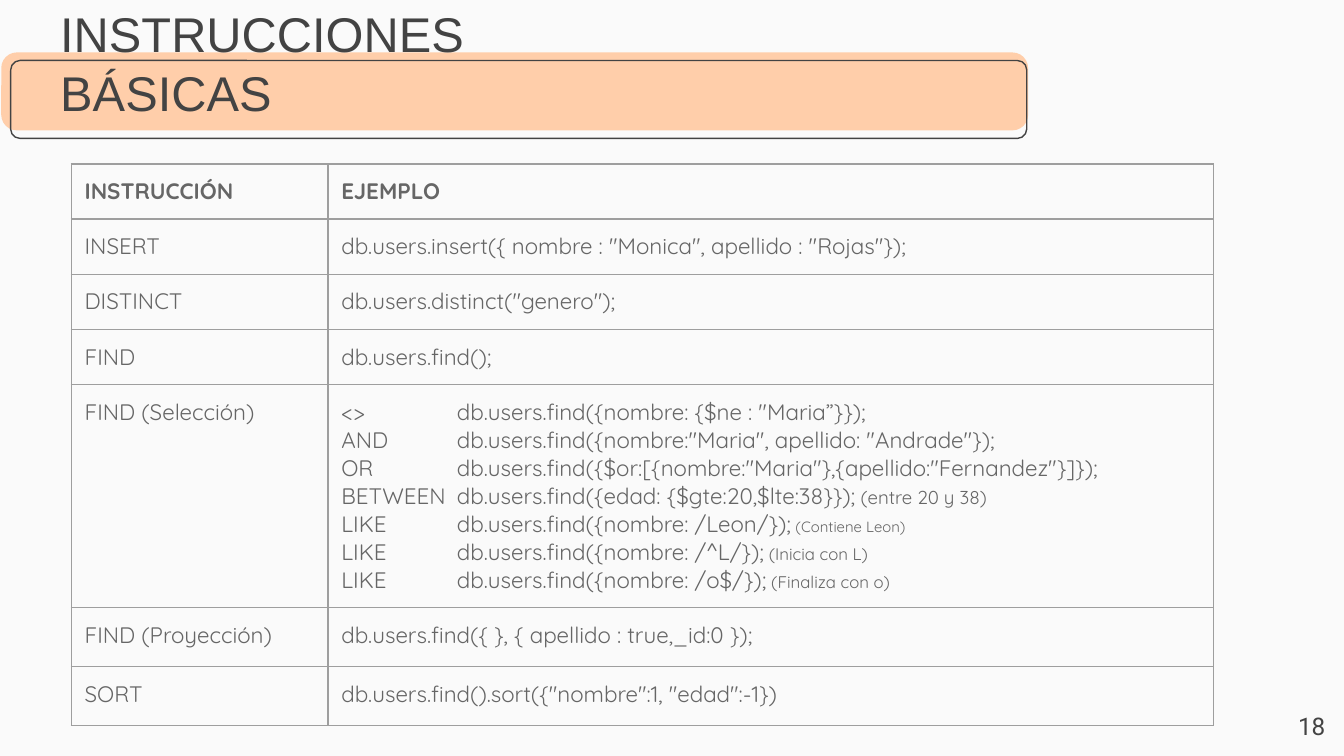
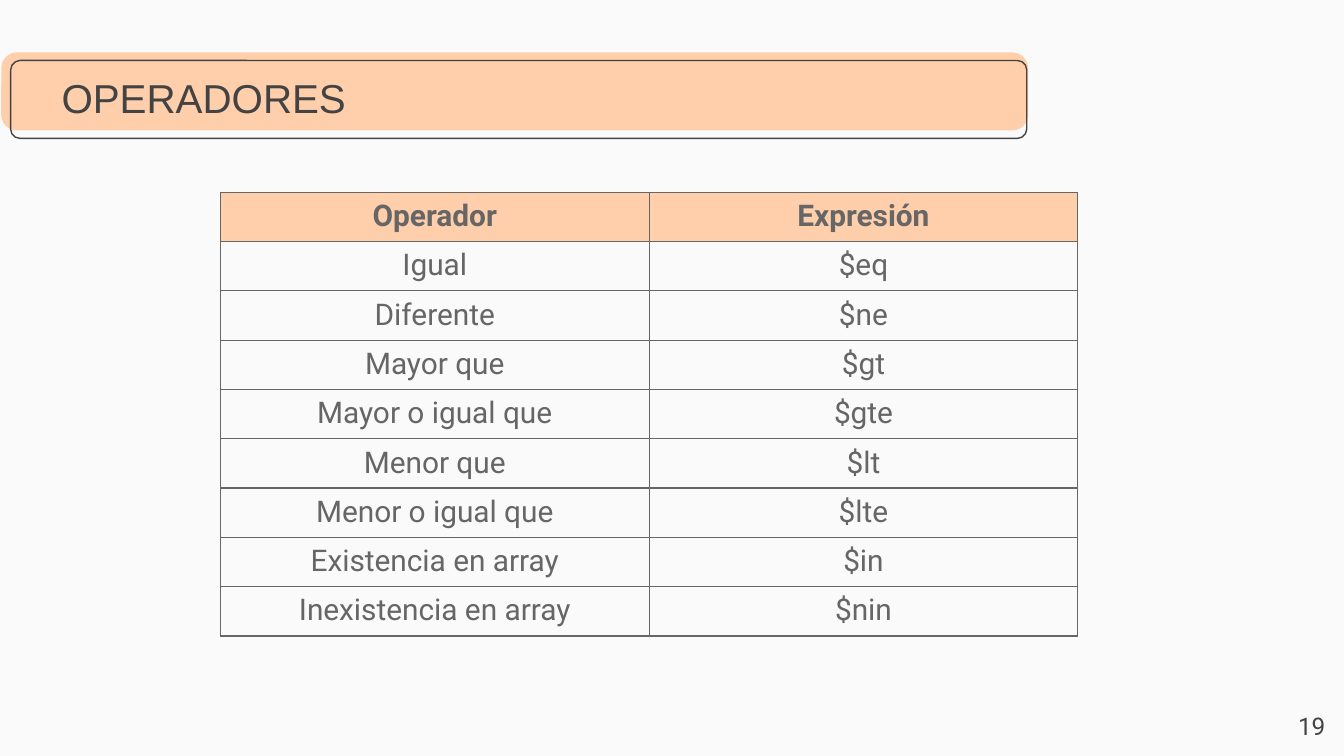
"""Builds two slides on database query instructions and operators."""
from lxml.etree import SubElement
from pptx import Presentation
from pptx.dml.color import RGBColor
from pptx.enum.shapes import MSO_SHAPE
from pptx.enum.text import MSO_ANCHOR, PP_ALIGN
from pptx.oxml.ns import qn
from pptx.util import Inches, Pt

PAPER = RGBColor(0xFA, 0xFA, 0xFA)
PEACH = RGBColor(0xFF, 0xCE, 0xAA)
INK = RGBColor(0x43, 0x43, 0x43)
GREY = RGBColor(0x66, 0x66, 0x66)
RULE = RGBColor(0x9E, 0x9E, 0x9E)

SELECTIONS = [
    ("<>", 'db.users.find({nombre: {$ne : "Maria”}});', "", 12),
    ("AND", 'db.users.find({nombre:"Maria", apellido: "Andrade"});', "", 12),
    ("OR", 'db.users.find({$or:[{nombre:"Maria"},{apellido:"Fernandez"}]});', "", 12),
    ("BETWEEN", "db.users.find({edad: {$gte:20,$lte:38}});", "(entre 20 y 38)", 10),
    ("LIKE", "db.users.find({nombre: /Leon/});", "(Contiene Leon)", 8),
    ("LIKE", "db.users.find({nombre: /^L/});", "(Inicia con L)", 9),
    ("LIKE", "db.users.find({nombre: /o$/});", "(Finaliza con o)", 9),
]
INSTRUCTIONS = [
    ("INSTRUCCIÓN", "EJEMPLO"),
    ("INSERT", 'db.users.insert({ nombre : "Monica", apellido : "Rojas"});'),
    ("DISTINCT", 'db.users.distinct("genero");'),
    ("FIND", "db.users.find();"),
    ("FIND (Selección)", SELECTIONS),
    ("FIND (Proyección)", "db.users.find({ }, { apellido : true,_id:0 });"),
    ("SORT", 'db.users.find().sort({"nombre":1, "edad":-1})'),
]
OPERATORS = [
    ("Operador", "Expresión"),
    ("Igual", "$eq"),
    ("Diferente", "$ne"),
    ("Mayor que", "$gt"),
    ("Mayor o igual que", "$gte"),
    ("Menor que", "$lt"),
    ("Menor o igual que", "$lte"),
    ("Existencia en array", "$in"),
    ("Inexistencia en array", "$nin"),
]
CODE_TAB = Inches(0.86)


def style(r, font, size, color, bold=False):
    r.font.name, r.font.size, r.font.bold = font, Pt(size), bold
    r.font.color.rgb = color


def set_margins(box, side, edge):
    box.margin_left = box.margin_right = Inches(side)
    box.margin_top = box.margin_bottom = Inches(edge)


def add_text(slide, text, place, font, size, edge, anchor, align):
    tf = slide.shapes.add_textbox(*map(Inches, place)).text_frame
    tf.word_wrap = True
    tf.vertical_anchor = anchor
    set_margins(tf, 0.1, edge)
    tf.text = text
    p = tf.paragraphs[0]
    p.alignment = align
    style(p.runs[0], font, size, INK)


def add_band(slide, place, radius):
    sp = slide.shapes.add_shape(MSO_SHAPE.ROUNDED_RECTANGLE, *map(Inches, place))
    sp.adjustments[0] = radius
    sp.shadow.inherit = False
    return sp


def add_base(prs, title, place, size, number):
    slide = prs.slides.add_slide(prs.slide_layouts[6])
    slide.background.fill.solid()
    slide.background.fill.fore_color.rgb = PAPER
    band = add_band(slide, (0.01, 0.39, 7.64, 0.58), 0.2)
    band.fill.solid()
    band.fill.fore_color.rgb = PEACH
    band.line.fill.background()
    outline = add_band(slide, (0.08, 0.45, 7.56, 0.58), 0.12)
    outline.fill.background()
    outline.line.color.rgb = INK
    outline.line.width = Pt(0.75)
    add_text(slide, title, place, "Arial", size, 0.05, MSO_ANCHOR.BOTTOM, PP_ALIGN.LEFT)
    add_text(slide, str(number), (9.36, 5.19, 0.6, 0.43), "Roboto", 13, 0.1,
             MSO_ANCHOR.TOP, PP_ALIGN.RIGHT)
    return slide


def add_borders(cell, color):
    tc_pr = cell._tc.get_or_add_tcPr()
    for side in ("lnL", "lnR", "lnT", "lnB"):
        ln = SubElement(tc_pr, qn(f"a:{side}"), w=str(Pt(0.75)))
        fill = SubElement(ln, qn("a:solidFill"))
        SubElement(fill, qn("a:srgbClr"), val=str(color))


def add_grid(slide, rows, left, top, widths, heights, font, size, edge, rule, align, head_fill):
    frame = slide.shapes.add_table(len(rows), len(widths), Inches(left), Inches(top),
                                   Inches(sum(widths)), Inches(sum(heights)))
    table = frame.table
    table.first_row = table.horz_banding = False
    for col, width in zip(table.columns, widths):
        col.width = Inches(width)
    for i, (row, height) in enumerate(zip(rows, heights)):
        table.rows[i].height = Inches(height)
        for cell, content in zip(table.rows[i].cells, row):
            set_margins(cell, 0.1, edge)
            add_borders(cell, rule)
            if i == 0 and head_fill:
                cell.fill.solid()
                cell.fill.fore_color.rgb = head_fill
            else:
                cell.fill.background()
            if isinstance(content, list):
                fill_selections(cell.text_frame, content, font, size)
                continue
            cell.text_frame.text = content
            p = cell.text_frame.paragraphs[0]
            p.alignment = align
            style(p.runs[0], font, size, GREY, i == 0)


def fill_selections(tf, selections, font, size):
    for i, (keyword, code, note, note_size) in enumerate(selections):
        p = tf.add_paragraph() if i else tf.paragraphs[0]
        tabs = SubElement(p._p.get_or_add_pPr(), qn("a:tabLst"))
        SubElement(tabs, qn("a:tab"), pos=str(CODE_TAB), algn="l")
        p.text = f"{keyword}\t{code}"
        style(p.runs[0], font, size, GREY)
        if note:
            r = p.add_run()
            r.text = f" {note}"
            style(r, font, note_size, GREY)


def main():
    prs = Presentation()
    prs.slide_width = Inches(10)
    prs.slide_height = prs.slide_width * 9 // 16

    slide = add_base(prs, "INSTRUCCIONES BÁSICAS", (0.35, 0.42, 4.54, 0.53), 26.1, 18)
    add_grid(slide, INSTRUCTIONS, 0.53, 1.22, (1.91, 6.59),
             [0.41] * 4 + [1.66] + [0.44] * 2,
             "Quicksand", 12, 0.1, RULE, PP_ALIGN.LEFT, None)

    slide = add_base(prs, "OPERADORES", (0.36, 0.43, 2.7, 0.52), 21.6, 19)
    add_grid(slide, OPERATORS, 1.64, 1.43, (3.19, 3.19),
             [3.3 / len(OPERATORS)] * len(OPERATORS),
             "Roboto", 16, 0.05, GREY, PP_ALIGN.CENTER, PEACH)

    prs.save("out.pptx")


if __name__ == "__main__":
    main()
